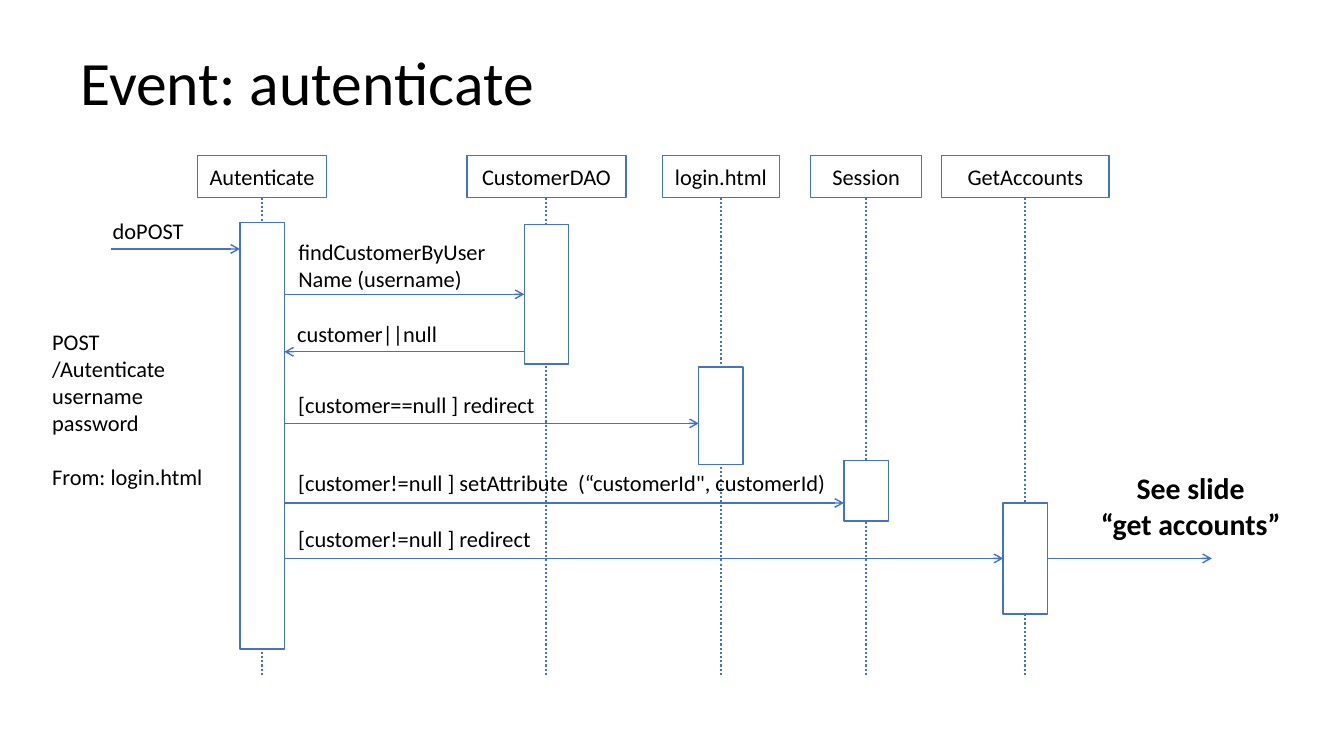
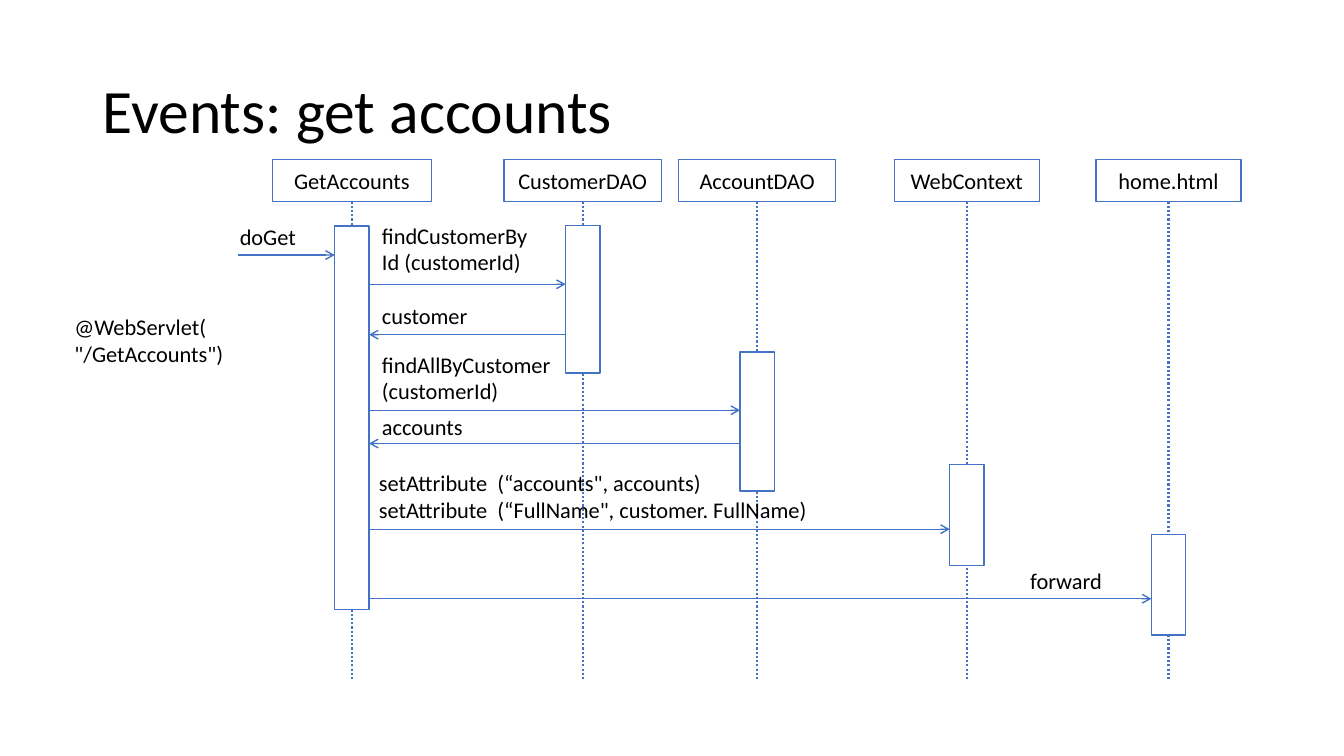
import lxml.etree
import pptx
import pptx.dml.color
import pptx.enum.dml
import pptx.enum.shapes
import pptx.enum.text
import pptx.oxml.ns
import pptx.util

EMU_PER_PX = 9144  # 100 px to the inch
FONT = "Calibri"
BLACK = pptx.dml.color.RGBColor(0x00, 0x00, 0x00)
WHITE = pptx.dml.color.RGBColor(0xFF, 0xFF, 0xFF)
BLUE = pptx.dml.color.RGBColor(0x44, 0x72, 0xC4)
TEXT_SIZE = 16
TITLE_SIZE = 44
HEADER_HEIGHT = 42
LIFELINE_LENGTH = 475
LEFT = pptx.enum.text.PP_ALIGN.LEFT
CENTER = pptx.enum.text.PP_ALIGN.CENTER
MIDDLE = pptx.enum.text.MSO_ANCHOR.MIDDLE
TOP_SIDE, LEFT_SIDE, BOTTOM_SIDE, RIGHT_SIDE = range(4)


def px(length):
    return pptx.util.Emu(length * EMU_PER_PX)


def write(frame, text, size=TEXT_SIZE, align=LEFT, bold=False):
    frame.word_wrap = True
    frame.text = text
    for paragraph in frame.paragraphs:
        paragraph.alignment = align
        for run in paragraph.runs:
            run.font.name = FONT
            run.font.size = pptx.util.Pt(size)
            run.font.bold = bold
            run.font.color.rgb = BLACK


def add_label(slide, left, top, width, height, text, **style):
    label = slide.shapes.add_textbox(px(left), px(top), px(width), px(height))
    write(label.text_frame, text, **style)
    return label.text_frame


def add_title(slide, left, top, width, height, text):
    frame = add_label(slide, left, top, width, height, text, size=TITLE_SIZE)
    frame.vertical_anchor = MIDDLE
    frame.paragraphs[0].line_spacing = 0.9


def add_box(slide, left, top, width, height):
    box = slide.shapes.add_shape(
        pptx.enum.shapes.MSO_SHAPE.RECTANGLE, px(left), px(top), px(width), px(height))
    box.shadow.inherit = False
    box.fill.solid()
    box.fill.fore_color.rgb = WHITE
    box.line.color.rgb = BLUE
    box.line.width = pptx.util.Pt(1)
    return box


def add_line(slide, x1, y1, x2, y2, width=1):
    """Draw a straight blue line between points given in EMU."""
    line = slide.shapes.add_connector(
        pptx.enum.shapes.MSO_CONNECTOR.STRAIGHT, x1, y1, x2, y2)
    line.line.color.rgb = BLUE
    line.line.width = pptx.util.Pt(width)
    lxml.etree.SubElement(line.element.spPr, pptx.oxml.ns.qn("a:effectLst"))
    return line


def add_lifeline(slide, name, center, header_top, header_width,
                 bar_top, bar_width, bar_height):
    """Draw header, dotted line and activation bar; return the bar."""
    header = add_box(slide, center - header_width // 2, header_top,
                     header_width, HEADER_HEIGHT)
    write(header.text_frame, name, align=CENTER)
    header.text_frame.vertical_anchor = MIDDLE
    header.text_frame.word_wrap = False
    start = header_top + HEADER_HEIGHT
    dots = add_line(slide, px(center), px(start), px(center),
                    px(start + LIFELINE_LENGTH), width=1.5)
    dots.line.dash_style = pptx.enum.dml.MSO_LINE.ROUND_DOT
    dots.begin_connect(header, BOTTOM_SIDE)
    return add_box(slide, center - bar_width // 2, bar_top, bar_width, bar_height)


def add_lifelines(slide, header_top, bar_width, participants):
    return [add_lifeline(slide, name, center, header_top, header_width,
                         bar_top, bar_width, bar_height)
            for name, center, header_width, bar_top, bar_height in participants]


def edge(end, side):
    """Give the x of a bar's side, or of a free end in px."""
    if isinstance(end, int):
        return px(end)
    return end.left + (end.width if side == RIGHT_SIDE else 0)


def join_at_middle(connect, end, side, y):
    if not isinstance(end, int) and abs(end.top + end.height // 2 - px(y)) <= px(1):
        connect(end, side)


def add_message(slide, y, source, target):
    """Draw an arrow at height y between bars or free x positions."""
    rightward = edge(source, LEFT_SIDE) < edge(target, LEFT_SIDE)
    sides = (RIGHT_SIDE, LEFT_SIDE) if rightward else (LEFT_SIDE, RIGHT_SIDE)
    arrow = add_line(slide, edge(source, sides[0]), px(y), edge(target, sides[1]), px(y))
    outline = arrow.element.spPr.find(pptx.oxml.ns.qn("a:ln"))
    lxml.etree.SubElement(outline, pptx.oxml.ns.qn("a:tailEnd"), type="arrow")
    join_at_middle(arrow.begin_connect, source, sides[0], y)
    join_at_middle(arrow.end_connect, target, sides[1], y)


def add_messages(slide, messages):
    for y, source, target in messages:
        add_message(slide, y, source, target)


def add_labels(slide, labels):
    for label in labels:
        add_label(slide, *label)


def build_authenticate(slide):
    add_title(slide, 70, 30, 1200, 110, "Event: autenticate")
    autenticate, customer_dao, login, session, get_accounts = add_lifelines(
        slide, 154, 44, [
            ("Autenticate", 260, 128, 221, 423),
            ("CustomerDAO", 542, 158, 223, 138),
            ("login.html", 715, 116, 364, 97),
            ("Session", 859, 110, 457, 60),
            ("GetAccounts", 1017, 166, 499, 110),
        ])
    add_messages(slide, [
        (247, 110, autenticate),
        (292, autenticate, customer_dao),
        (349, customer_dao, autenticate),
        (420, autenticate, login),
        (499, autenticate, session),
        (554, autenticate, get_accounts),
        (554, get_accounts, 1202),
    ])
    add_labels(slide, [
        (102, 211, 110, 37, "doPOST"),
        (286, 231, 228, 64, "findCustomerByUser\nName (username)"),
        (285, 313, 187, 37, "customer||null"),
        (286, 383, 303, 37, "[customer==null ] redirect"),
        (286, 461, 570, 37, "[customer!=null ] setAttribute  (“customerId\", customerId)"),
        (286, 516, 286, 37, "[customer!=null ] redirect"),
    ])
    request = add_label(slide, 42, 321, 180, 206,
                        "POST\n/Autenticate\nusername\npassword\nFrom: login.html")
    request.paragraphs[-1].space_before = pptx.util.Pt(19.5)
    add_label(slide, 1019, 461, 331 - 17, 75, "See slide\n“get accounts”",
              size=21.3, align=CENTER, bold=True).margin_right = px(0)


def build_get_accounts(slide):
    add_title(slide, 92, 40, 1150, 145, "Events: get accounts")
    get_accounts, customer_dao, account_dao, web_context, home = add_lifelines(
        slide, 158, 34, [
            ("GetAccounts", 349, 158, 224, 381),
            ("CustomerDAO", 578, 156, 224, 146),
            ("AccountDAO", 751, 156, 349, 138),
            ("WebContext", 959, 144, 461, 100),
            ("home.html", 1159, 144, 530, 100),
        ])
    add_messages(slide, [
        (253, 236, get_accounts),
        (282, get_accounts, customer_dao),
        (332, customer_dao, get_accounts),
        (407, get_accounts, account_dao),
        (440, account_dao, get_accounts),
        (525, get_accounts, web_context),
        (594, get_accounts, home),
    ])
    add_labels(slide, [
        (228, 216, 90, 37, "doGet"),
        (64, 306, 184, 64, "@WebServlet(\n\"/GetAccounts\")"),
        (369, 215, 169, 64, "findCustomerById (customerId)"),
        (369, 295, 120, 37, "customer"),
        (369, 343, 192, 64, "findAllByCustomer (customerId)"),
        (369, 405, 120, 37, "accounts"),
        (366, 461, 469, 64, "setAttribute  (“accounts\", accounts)\n"
                            "setAttribute  (“FullName\", customer. FullName)"),
        (1012, 558, 110, 37, "forward"),
    ])


def main():
    deck = pptx.Presentation()
    deck.slide_width = px(1333)
    deck.slide_height = px(750)
    blank = deck.slide_layouts[6]
    for build in (build_authenticate, build_get_accounts):
        build(deck.slides.add_slide(blank))
    deck.save("out.pptx")


if __name__ == "__main__":
    main()
